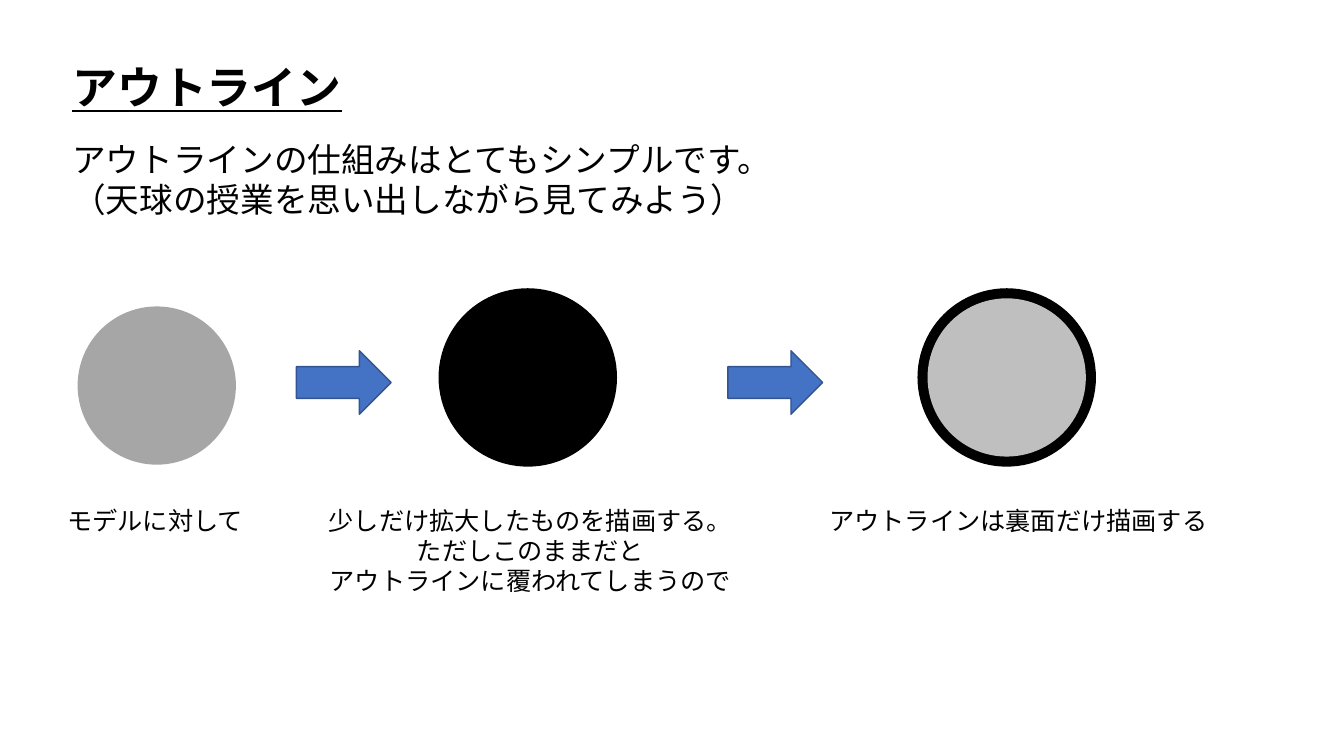
from dataclasses import dataclass

from lxml import etree
from pptx import Presentation
from pptx import util as u
from pptx.dml.color import RGBColor
from pptx.enum import shapes, text
from pptx.oxml import ns

FONT = "Noto Sans CJK JP"
BLACK = RGBColor(0x00, 0x00, 0x00)
MODEL_GRAY = RGBColor(0xA6, 0xA6, 0xA6)
FRONT_GRAY = RGBColor(0xBF, 0xBF, 0xBF)
ARROW_BLUE = RGBColor(0x44, 0x72, 0xC4)
ARROW_EDGE = RGBColor(0x32, 0x54, 0x91)

MODEL_SIZE = 1.57
OUTLINE_SIZE = 1.77
OUTLINE_TOP = 2.86
RIM = (OUTLINE_SIZE - MODEL_SIZE) / 2
CAPTION_TOP = 4.96


@dataclass
class Label:
    left: float
    top: float
    width: float
    height: float
    lines: list[str]
    size: int = 18
    heading: bool = False
    centered: bool = False


@dataclass
class Circle:
    left: float
    top: float
    size: float
    color: RGBColor


def add_label(slide, label: Label) -> None:
    box = slide.shapes.add_textbox(u.Inches(label.left), u.Inches(label.top),
                                   u.Inches(label.width), u.Inches(label.height))
    frame = box.text_frame
    frame.word_wrap = label.centered
    frame.auto_size = text.MSO_AUTO_SIZE.SHAPE_TO_FIT_TEXT
    for index, line in enumerate(label.lines):
        paragraph = frame.add_paragraph() if index else frame.paragraphs[0]
        if label.centered:
            paragraph.alignment = text.PP_ALIGN.CENTER
        run = paragraph.add_run()
        run.text = line
        font = run.font
        font.name, font.size = FONT, u.Pt(label.size)
        font.color.rgb = BLACK
        if label.heading:
            font.bold = font.underline = True
        # Japanese glyphs take the East Asian typeface
        east_asian = etree.SubElement(run._r.get_or_add_rPr(), ns.qn("a:ea"))
        east_asian.set("typeface", FONT)


def add_circle(parent, circle: Circle) -> None:
    ball = parent.shapes.add_shape(
        shapes.MSO_SHAPE.OVAL, u.Inches(circle.left), u.Inches(circle.top),
        u.Inches(circle.size), u.Inches(circle.size))
    ball.shadow.inherit = False
    ball.fill.solid()
    ball.fill.fore_color.rgb = circle.color
    ball.line.fill.background()


def add_step_arrow(slide, left: float) -> None:
    arrow = slide.shapes.add_shape(shapes.MSO_SHAPE.RIGHT_ARROW, u.Inches(left),
                                   u.Inches(3.48), u.Inches(0.94), u.Inches(0.63))
    arrow.shadow.inherit = False
    arrow.fill.solid()
    arrow.fill.fore_color.rgb = ARROW_BLUE
    arrow.line.color.rgb = ARROW_EDGE
    arrow.line.width = u.Pt(1)


def main() -> None:
    deck = Presentation()
    deck.slide_width, deck.slide_height = u.Inches(13.33), u.Inches(7.5)
    slide = deck.slides.add_slide(deck.slide_layouts[6])

    # Heading and introduction
    add_label(slide, Label(0.62, 0.54, 2.89, 0.64, ["アウトライン"], 32, heading=True))
    add_label(slide, Label(0.62, 1.33, 7.27, 0.91, [
        "アウトラインの仕組みはとてもシンプルです。",
        "（天球の授業を思い出しながら見てみよう）"], 24))

    # Model, enlarged copy, and model in front of its outline
    add_circle(slide, Circle(0.77, 3.04, MODEL_SIZE, MODEL_GRAY))
    add_circle(slide, Circle(4.35, OUTLINE_TOP, OUTLINE_SIZE, BLACK))
    outlined_model = slide.shapes.add_group_shape()
    add_circle(outlined_model, Circle(9.1, OUTLINE_TOP, OUTLINE_SIZE, BLACK))
    add_circle(outlined_model,
               Circle(9.1 + RIM, OUTLINE_TOP + RIM, MODEL_SIZE, FRONT_GRAY))

    # Captions under the steps
    captions = [
        Label(0.57, CAPTION_TOP, 1.97, 0.4, ["モデルに対して"]),
        Label(3.14, CAPTION_TOP, 4.24, 1.01, [
            "少しだけ拡大したものを描画する。",
            "ただしこのままだと",
            "アウトラインに覆われてしまうので"], centered=True),
        Label(7.98, CAPTION_TOP, 4.24, 0.4,
              ["アウトラインは裏面だけ描画する"], centered=True),
    ]
    for caption in captions:
        add_label(slide, caption)

    # Arrows between the steps
    for left in (2.94, 7.22):
        add_step_arrow(slide, left)

    deck.save("out.pptx")


if __name__ == "__main__":
    main()
